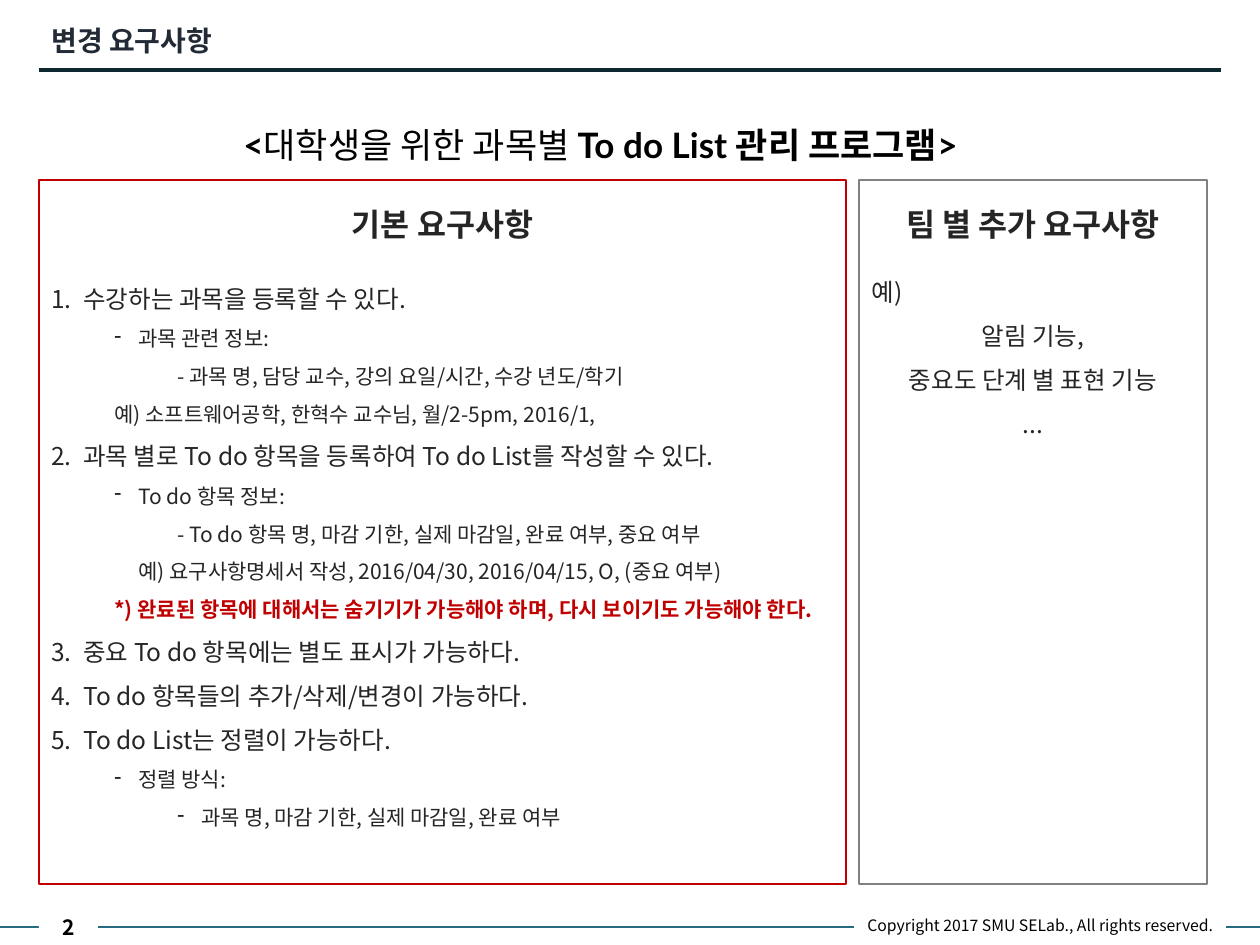
import copy

import pptx
import pptx.dml.color
import pptx.enum.shapes
import pptx.enum.text
import pptx.oxml.ns
import pptx.util
from lxml import etree

PX_PER_INCH = 126
KOREAN = "Noto Sans CJK KR"
BLACK, WHITE, INK, RED = "000000", "FFFFFF", "252525", "C00000"
TEAL = "266C82"
ALIGN = pptx.enum.text.PP_ALIGN
ANCHOR = pptx.enum.text.MSO_ANCHOR
qn = pptx.oxml.ns.qn

# List styles: level, left margin and first-line indent in px, bullet, size
STYLES = {
    "number": (0, 32, -32, "1.", 14),
    "dash": (1, 87, -24, "-", 12),
    "detail": (1, 63, 0, None, 12),
    "subdash": (2, 150, -24, "-", 12),
    "plain": (0, 0, 0, None, 14),
}

BASIC = [
    ("number", "수강하는 과목을 등록할 수 있다."),
    ("dash", "과목 관련 정보:"),
    ("detail", "\t- 과목 명, 담당 교수, 강의 요일/시간, 수강 년도/학기\n"
               "예) 소프트웨어공학, 한혁수 교수님, 월/2-5pm, 2016/1,"),
    ("number", "과목 별로 To do 항목을 등록하여 To do List를 작성할 수 있다."),
    ("dash", "To do 항목 정보:\n"
             "\t- To do 항목 명, 마감 기한, 실제 마감일, 완료 여부, 중요 여부\n"
             "예) 요구사항명세서 작성, 2016/04/30, 2016/04/15, O, (중요 여부)"),
    ("detail", "*) 완료된 항목에 대해서는 숨기기가 가능해야 하며, 다시 보이기도 가능해야 한다.",
     {"color": RED, "bold": True}),
    ("number", "중요 To do 항목에는 별도 표시가 가능하다."),
    ("number", "To do 항목들의 추가/삭제/변경이 가능하다."),
    ("number", "To do List는 정렬이 가능하다."),
    ("dash", "정렬 방식:"),
    ("subdash", "과목 명, 마감 기한, 실제 마감일, 완료 여부"),
]

EXTRA = [
    ("plain", "예)"),
    ("plain", "알림 기능,", {"align": ALIGN.CENTER}),
    ("plain", "중요도 단계 별 표현 기능\n...", {"align": ALIGN.CENTER}),
]


def px(value):
    return pptx.util.Emu(round(value * 914400 / PX_PER_INCH))


def rgb(value):
    return pptx.dml.color.RGBColor.from_string(value)


def format_run(run, size, color, bold, font):
    run.font.size = pptx.util.Pt(size)
    run.font.bold = bold
    run.font.color.rgb = rgb(color)
    run.font.name = font
    etree.SubElement(run.font._element, qn("a:ea"), typeface=KOREAN)


def write(paragraph, text, size=12, color=INK, bold=False, font=KOREAN,
          align=ALIGN.LEFT, spacing=1.5, after=0):
    """Append text, with its line breaks, to a paragraph."""
    paragraph.alignment = align
    paragraph.line_spacing = spacing
    paragraph.space_before = pptx.util.Pt(0)
    paragraph.space_after = pptx.util.Pt(after)
    for index, line in enumerate(text.split("\n")):
        if index:
            paragraph.add_line_break()
            line_break = paragraph._p.findall(qn("a:br"))[-1]
            line_break.append(copy.deepcopy(run.font._element))
        run = paragraph.add_run()
        run.text = line
        format_run(run, size, color, bold, font)


def set_list_style(paragraph, level, margin, indent, bullet):
    paragraph.level = level
    properties = paragraph._p.get_or_add_pPr()
    properties.set("marL", str(px(margin)))
    properties.set("indent", str(px(indent)))
    if bullet == "1.":
        etree.SubElement(properties, qn("a:buFont"), typeface="+mj-lt")
        etree.SubElement(properties, qn("a:buAutoNum"), type="arabicPeriod")
    elif bullet:
        etree.SubElement(properties, qn("a:buFontTx"))
        etree.SubElement(properties, qn("a:buChar"), char=bullet)
    else:
        etree.SubElement(properties, qn("a:buNone"))


def add_rule(slide, left, right, y, color, width):
    rule = slide.shapes.add_connector(
        pptx.enum.shapes.MSO_CONNECTOR.STRAIGHT, px(left), px(y), px(right), px(y))
    rule.line.color.rgb = rgb(color)
    rule.line.width = pptx.util.Pt(width)
    etree.SubElement(rule._element.spPr, qn("a:effectLst"))


def add_box(slide, left, top, width, height, border=None, anchor=ANCHOR.TOP, wrap=True):
    box = slide.shapes.add_shape(
        pptx.enum.shapes.MSO_SHAPE.RECTANGLE, px(left), px(top), px(width), px(height))
    box.shadow.inherit = False
    box.fill.solid()
    box.fill.fore_color.rgb = rgb(WHITE)
    if border:
        box.line.color.rgb = rgb(border)
        box.line.width = pptx.util.Pt(1.5)
    else:
        box.line.fill.background()
    box.text_frame.word_wrap = wrap
    box.text_frame.vertical_anchor = anchor
    return box.text_frame


def add_panel(slide, left, width, border, heading, gap, items):
    frame = add_box(slide, left, 180, width, 704, border)
    write(frame.paragraphs[0], heading, size=18, bold=True, align=ALIGN.CENTER, after=gap)
    for style, text, *options in items:
        *list_style, size = STYLES[style]
        paragraph = frame.add_paragraph()
        set_list_style(paragraph, *list_style)
        write(paragraph, text, size=size, **(options[0] if options else {}))


def add_title(slide, text):
    title = slide.shapes.title
    title.left, title.top, title.width, title.height = px(39), px(13), px(751), px(58)
    title.text_frame.auto_size = pptx.enum.text.MSO_AUTO_SIZE.NONE
    title.text_frame.vertical_anchor = ANCHOR.MIDDLE
    write(title.text_frame.paragraphs[0], text, size=16, color="222A35",
          bold=True, spacing=0.9)


def add_subject(slide):
    frame = slide.shapes.add_textbox(px(231), px(96), px(799), px(77)).text_frame
    frame.word_wrap = False
    for text, bold in (("<", True), ("대학생을 위한 과목별 ", False),
                       ("To do List 관리 프로그램>", True)):
        write(frame.paragraphs[0], text, size=20, color=BLACK, bold=bold, font="Lato")


def add_footer(slide):
    for left, right in ((0, 39), (98, 854), (1226, 1260)):
        add_rule(slide, left, right, 927, TEAL, 1.5)
    number = add_box(slide, 39, 910, 59, 35, anchor=ANCHOR.MIDDLE)
    write(number.paragraphs[0], "2", color=BLACK, bold=True,
          align=ALIGN.CENTER, spacing=1.0)
    notice = add_box(slide, 854, 910, 372, 31, wrap=False)
    write(notice.paragraphs[0], "Copyright 2017 SMU SELab., All rights reserved.",
          size=9, color=BLACK, align=ALIGN.CENTER, spacing=1.0)


def main():
    presentation = pptx.Presentation()
    presentation.slide_width, presentation.slide_height = px(1260), px(945)
    slide = presentation.slides.add_slide(presentation.slide_layouts[5])

    # Header
    add_title(slide, "변경 요구사항")
    add_rule(slide, 39, 1221, 70, "0E2830", 2)

    # Subject and the two requirement panels
    add_subject(slide)
    add_panel(slide, 39, 807, RED, "기본 요구사항", 15, BASIC)
    add_panel(slide, 859, 348, "808080", "팀 별 추가 요구사항", 11, EXTRA)

    # Footer
    add_footer(slide)
    presentation.save("out.pptx")


if __name__ == "__main__":
    main()
